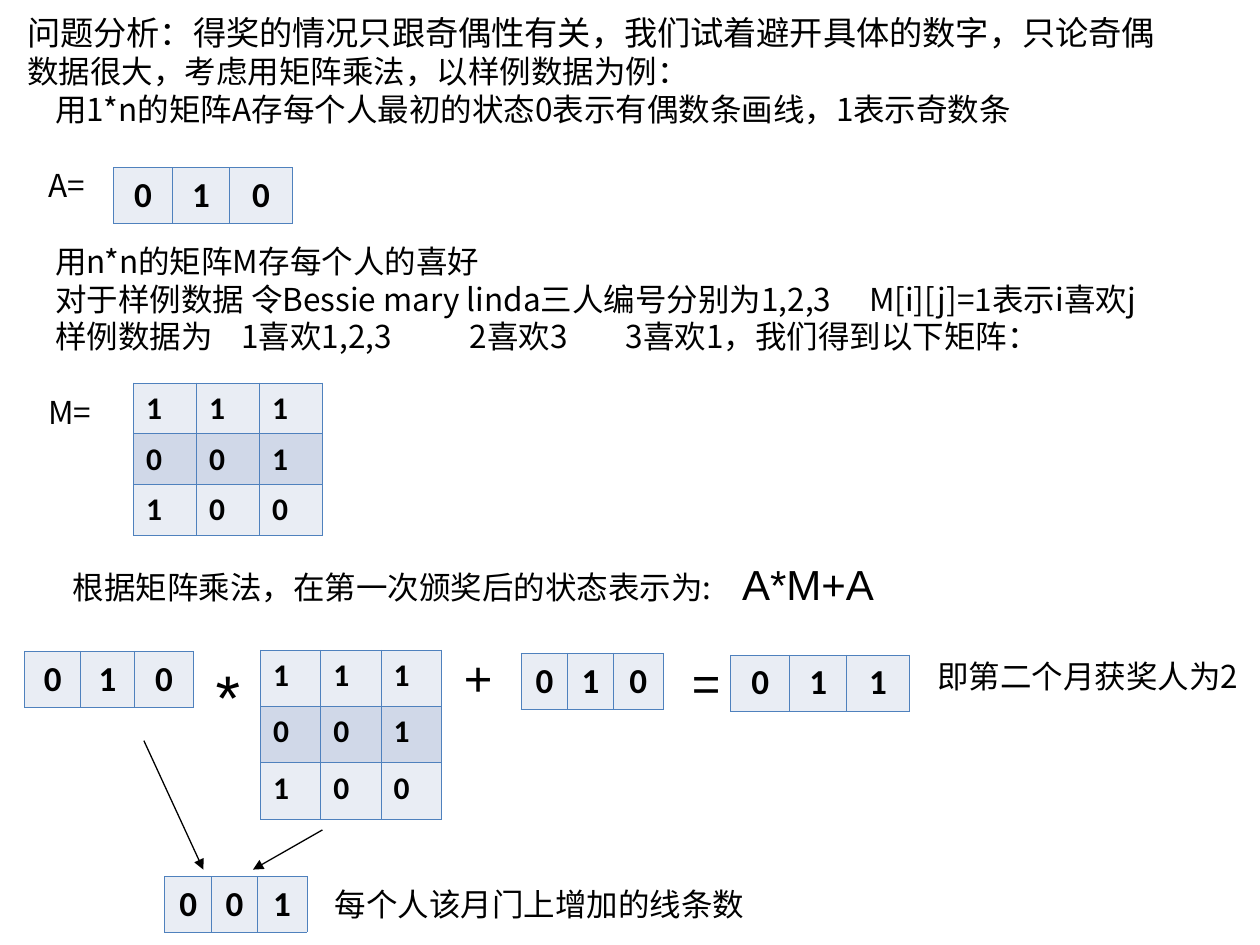
import pptx
import pptx.dml.color
import pptx.enum.shapes
import pptx.enum.text
import pptx.oxml
import pptx.oxml.ns
import pptx.util

Cm = pptx.util.Cm
Pt = pptx.util.Pt
HUES = {"ink": "000000", "edge": "4F81BD", "pale": "E9EDF4", "band": "D0D8E8"}
NOTO = "Noto Sans CJK SC"
NS = pptx.oxml.ns.nsdecls("a")
LIKES = ["111", "001", "100"]
INTRO = [
    ("问题分析：得奖的情况只跟奇偶性有关，我们试着避开具体的数字，只论奇偶", 19, 0, []),
    ("数据很大，考虑用矩阵乘法，以样例数据为例：", 18, 0, []),
    ("\t用1*n的矩阵A存每个人最初的状态0表示有偶数条画线，1表示奇数条", 18, 0, [0.56]),
    ("\tA=", 18, 21.7, [0.42]),
    ("\t用n*n的矩阵M存每个人的喜好", 18, 21.7, [0.56]),
    ("\t对于样例数据 令Bessie mary linda三人编号分别为1,2,3\tM[i][j]=1表示i喜欢j",
     18, 0, [0.56, 16.97]),
    ("\t样例数据为\t1喜欢1,2,3\t2喜欢3\t3喜欢1，我们得到以下矩阵：",
     18, 0, [0.56, 4.32, 8.92, 12.07]),
    ("\tM=", 18, 21.7, [0.42]),
]


def hue(name):
    return pptx.dml.color.RGBColor.from_string(HUES[name])


def write(para, text, size, face, bold=False):
    run = para.add_run()
    run.text = text
    run.font.size = Pt(size)
    run.font.name = face
    run.font.bold = bold
    run.font.color.rgb = hue("ink")
    run.font._element.append(pptx.oxml.parse_xml(f'<a:ea {NS} typeface="{NOTO}"/>'))


def frame(slide, box, wrap=True):
    text = slide.shapes.add_textbox(*map(Cm, box)).text_frame
    text.word_wrap = wrap
    return text


def label(slide, box, text, size=18, face=NOTO, wrap=True):
    write(frame(slide, box, wrap).paragraphs[0], text, size, face)


def intro(slide, box):
    body = frame(slide, box)
    for i, (text, size, gap, stops) in enumerate(INTRO):
        para = body.add_paragraph() if i else body.paragraphs[0]
        if stops:
            tabs = "".join(f'<a:tab pos="{Cm(stop)}" algn="l"/>' for stop in stops)
            para._p.get_or_add_pPr().append(
                pptx.oxml.parse_xml(f"<a:tabLst {NS}>{tabs}</a:tabLst>"))
        if gap:
            para.space_before = Pt(gap)
        write(para, text, size, NOTO)


def edge(cell):
    props = cell._tc.get_or_add_tcPr()
    for i, side in enumerate(("lnL", "lnR", "lnT", "lnB")):
        props.insert(i, pptx.oxml.parse_xml(
            f'<a:{side} {NS} w="{Pt(0.45)}"><a:solidFill>'
            f'<a:srgbClr val="{HUES["edge"]}"/></a:solidFill></a:{side}>'))


def matrix(slide, box, rows):
    single = len(rows) == 1
    table = slide.shapes.add_table(len(rows), len(rows[0]), *map(Cm, box)).table
    table.first_row = table.horz_banding = False
    shares = (0.33, 0.32, 0.35) if single else (1 / 3,) * 3
    for col, share in zip(table.columns, shares):
        col.width = Cm(box[2] * share)
    for r, row in enumerate(rows):
        for c, digit in enumerate(row):
            cell = table.cell(r, c)
            cell.fill.solid()
            cell.fill.fore_color.rgb = hue("band" if r % 2 else "pale")
            edge(cell)
            para = cell.text_frame.paragraphs[0]
            if single:
                para.alignment = pptx.enum.text.PP_ALIGN.CENTER
            write(para, digit, 20 if single else 18, "Calibri", True)


def arrow(slide, ends):
    link = slide.shapes.add_connector(
        pptx.enum.shapes.MSO_CONNECTOR.STRAIGHT, *map(Cm, ends))
    link.line.color.rgb = hue("ink")
    link.line.width = Pt(0.75)
    link.line._get_or_add_ln().append(
        pptx.oxml.parse_xml(f'<a:tailEnd {NS} type="triangle"/>'))
    link._element.spPr.append(pptx.oxml.parse_xml(f"<a:effectLst {NS}/>"))


def product(slide, box):
    x, y = box[:2]
    matrix(slide, (x, y + 0.02, 3.4, 1.12), ["010"])
    matrix(slide, (x + 4.75, y, 3.65, 3.4), LIKES)
    matrix(slide, (x + 10, y + 0.06, 2.87, 1.12), ["010"])
    matrix(slide, (x + 14.23, y + 0.1, 3.6, 1.12), ["011"])
    for sign, dx, dy, size in (("*", 3.6, 0.02, 36), ("+", 8.6, -0.18, 28),
                               ("=", 13.2, -0.08, 28)):
        label(slide, (x + dx, y + dy, 0.86, 1.45), sign, size, "Arial")
    label(slide, (x + 18.14, y + 0.02, 6.73, 1.02), "即第二个月获奖人为2", wrap=False)


def change(slide, box):
    x, y = box[:2]
    arrow(slide, (x - 0.42, y - 2.74, x + 0.78, y - 0.14))
    arrow(slide, (x + 3.18, y - 0.94, x + 1.78, y - 0.14))
    matrix(slide, (x, y, 2.87, 1.12), ["001"])
    label(slide, (x + 3.18, y + 0.05, 8.76, 1.02), "每个人该月门上增加的线条数",
          face="Arial", wrap=False)


def main():
    deck = pptx.Presentation()
    deck.slide_width, deck.slide_height = Cm(25.4), Cm(19.05)
    slide = deck.slides.add_slide(deck.slide_layouts[6])
    intro(slide, (0.3, 0.13, 24.4, 9.45))
    matrix(slide, (2.29, 3.38, 3.6, 1.12), ["010"])
    matrix(slide, (2.69, 7.72, 3.81, 3.07), LIKES)
    label(slide, (1.22, 11.33, 13.54, 1.02),
          "根据矩阵乘法，在第一次颁奖后的状态表示为:", wrap=False)
    label(slide, (14.71, 11.13, 3.33, 1.27), "A*M+A", 24, "Arial")
    product(slide, (0.5, 13.11, 24.87, 3.4))
    change(slide, (3.32, 17.67, 11.94, 1.12))
    deck.save("out.pptx")


if __name__ == "__main__":
    main()
